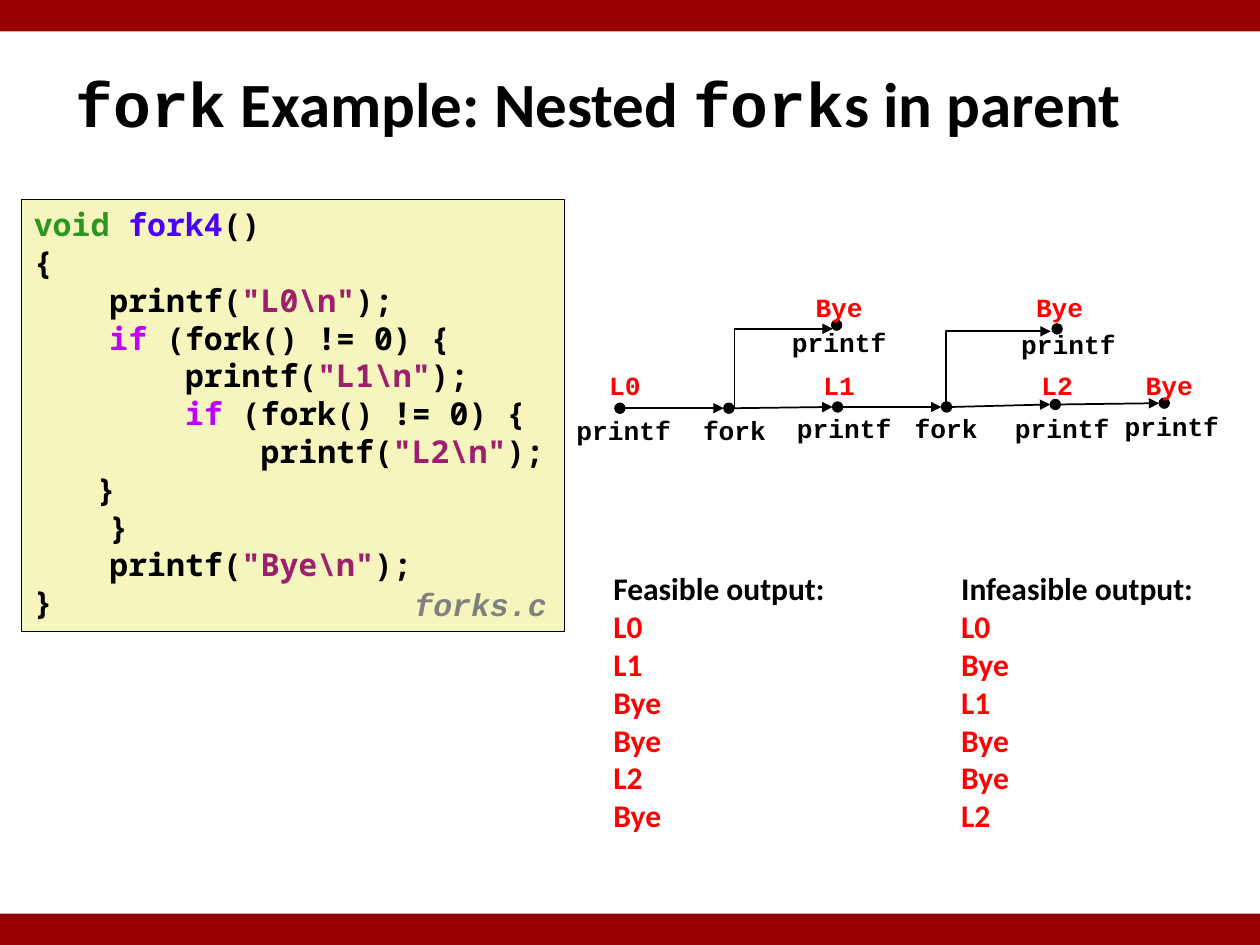
from lxml import etree
from pptx import Presentation
from pptx.dml.color import RGBColor
from pptx.enum.shapes import MSO_CONNECTOR, MSO_SHAPE
from pptx.enum.text import MSO_ANCHOR, PP_ALIGN
from pptx.oxml.ns import qn
from pptx.util import Inches, Pt

RECTANGLE, OVAL = MSO_SHAPE.RECTANGLE, MSO_SHAPE.OVAL
STRAIGHT, ELBOW = MSO_CONNECTOR.STRAIGHT, MSO_CONNECTOR.ELBOW
LEFT, CENTER = PP_ALIGN.LEFT, PP_ALIGN.CENTER
TOP, MIDDLE = MSO_ANCHOR.TOP, MSO_ANCHOR.MIDDLE

WIDTH, HEIGHT, BAR_HEIGHT = 10, 7.5, 0.25
SANS, COURIER, MONO = "Calibri", "Courier New", "Noto Sans Mono"
BLACK, RED, MAROON, CREAM, GRAY = "000000", "FF0000", "990000", "F6F5BD", "808080"
GREEN, BLUE, STRING, KEYWORD = "2D961E", "4A00FF", "9D206F", "C200FF"

TITLE = [("fork", COURIER), (" Example: Nested ", SANS), ("fork", COURIER), ("s in parent", SANS)]

CODE = [
    [("void ", GREEN), ("fork4", BLUE), ("()", BLACK)],
    [("{", BLACK)],
    [("    printf(", BLACK), ('"L0\\n"', STRING), (");", BLACK)],
    [("    ", BLACK), ("if", KEYWORD), (" (fork() != 0) {", BLACK)],
    [("        printf(", BLACK), ('"L1\\n"', STRING), (");", BLACK)],
    [("        ", BLACK), ("if", KEYWORD), (" (fork() != 0) {", BLACK)],
    [("            printf(", BLACK), ('"L2\\n"', STRING), (");", BLACK)],
    [("\t}", BLACK)],
    [("    }", BLACK)],
    [("    printf(", BLACK), ('"Bye\\n"', STRING), (");", BLACK)],
    [("}", BLACK)],
]

# Dot centre y, call, call centre x, call top, output, output centre x
PARENT_STEPS = [
    (3.24, "printf", 4.95, 3.24, "L0", 4.96),
    (3.24, "fork", 5.83, 3.24, "", 0),
    (3.23, "printf", 6.7, 3.22, "L1", 6.66),
    (3.23, "fork", 7.51, 3.22, "", 0),
    (3.21, "printf", 8.43, 3.22, "L2", 8.39),
    (3.2, "printf", 9.3, 3.21, "Bye", 9.28),
]
CHILD_STEPS = [
    (6.64, 2.58, "printf", 6.66, 2.54, "Bye", 6.66),
    (8.39, 2.61, "printf", 8.48, 2.56, "Bye", 8.41),
]
CHILD_ARROWS = [((5.83, 3.24), (6.61, 2.61)), ((7.51, 3.22), (8.34, 2.63))]
FIRST_STEP, STEP_GAP, DOT = 4.92, 0.864, 0.08
PARENT_OUTPUT_TOP, CHILD_OUTPUT_TOP = 2.88, 2.26

OUTPUTS = [
    (4.77, 1.9, "Feasible output:", ["L0", "L1", "Bye", "Bye", "L2", "Bye"]),
    (7.53, 2.07, "Infeasible output:", ["L0", "Bye", "L1", "Bye", "Bye", "L2"]),
]


def color(hex_string):
    return RGBColor.from_string(hex_string)


def add_block(slide, kind, box, fill, line=None, line_width=0.75):
    shape = slide.shapes.add_shape(kind, *map(Inches, box))
    shape.shadow.inherit = False
    shape.fill.solid()
    shape.fill.fore_color.rgb = color(fill)
    if line:
        shape.line.color.rgb = color(line)
        shape.line.width = Pt(line_width)
    else:
        shape.line.fill.background()
    return shape


def write(shape, lines, size, align=LEFT, anchor=TOP, wrap=False):
    """Fill a shape with bold lines, each a list of (text, font, colour) runs."""
    frame = shape.text_frame
    frame.word_wrap = wrap
    frame.vertical_anchor = anchor
    for index, runs in enumerate(lines):
        paragraph = frame.add_paragraph() if index else frame.paragraphs[0]
        paragraph.alignment = align
        paragraph.font.size = Pt(size)
        paragraph.font.bold = True
        for text, font, hex_string in runs:
            run = paragraph.add_run()
            run.text = text
            run.font.name = font
            run.font.color.rgb = color(hex_string)


def add_text(slide, box, lines, size, **options):
    shape = slide.shapes.add_textbox(*map(Inches, box))
    write(shape, lines, size, **options)
    return shape


def add_label(slide, center, top, text, hex_string):
    width = 0.2 + 0.125 * len(text)
    add_text(slide, (center - width / 2, top, width, 0.35),
             [[(text, COURIER, hex_string)]], 15, align=CENTER)


def add_step(slide, x, y, call, call_x, call_top, output, output_x, output_top):
    add_block(slide, OVAL, (x - DOT / 2, y - DOT / 2, DOT, DOT), BLACK, BLACK)
    add_label(slide, call_x, call_top, call, BLACK)
    if output:
        add_label(slide, output_x, output_top, output, RED)


def add_arrow(slide, kind, start, end):
    connector = slide.shapes.add_connector(kind, *map(Inches, (*start, *end)))
    connector.line.color.rgb = color(BLACK)
    connector.line.width = Pt(1)
    properties = connector._element.spPr
    line = properties.find(qn("a:ln"))
    etree.SubElement(line, qn("a:tailEnd"), type="triangle")
    etree.SubElement(properties, qn("a:effectLst"))
    return connector


def add_branch(slide, start, end):
    """Arrow that runs up from start, then right to end: a one-bend connector turned by 90°."""
    center_x, center_y = (start[0] + end[0]) / 2, (start[1] + end[1]) / 2
    half_width, half_height = (start[1] - end[1]) / 2, (end[0] - start[0]) / 2
    connector = add_arrow(slide, ELBOW, (center_x + half_width, center_y + half_height),
                          (center_x - half_width, center_y - half_height))
    properties = connector._element.spPr
    properties.find(qn("a:xfrm")).set("rot", "5400000")
    properties.find(qn("a:prstGeom")).set("prst", "bentConnector2")


def main():
    presentation = Presentation()
    presentation.slide_width, presentation.slide_height = Inches(WIDTH), Inches(HEIGHT)
    slide = presentation.slides.add_slide(presentation.slide_layouts[6])

    for top in (0, HEIGHT - BAR_HEIGHT):
        add_block(slide, RECTANGLE, (0, top, WIDTH, BAR_HEIGHT), MAROON)
    add_text(slide, (0.5, 0.5, 8.78, 0.63), [[(text, font, BLACK) for text, font in TITLE]],
             36, anchor=MIDDLE, wrap=True)

    code_box = add_block(slide, RECTANGLE, (0.17, 1.58, 4.31, 3.43), CREAM, BLACK, 0.25)
    write(code_box, [[(text, MONO, shade) for text, shade in line] for line in CODE],
          18, wrap=True)
    file_name = add_text(slide, (3.19, 4.62, 1.32, 0.39), [[("forks.c", COURIER, GRAY)]], 18)
    file_name.text_frame.paragraphs[0].font.italic = True
    file_name.text_frame.paragraphs[0].line_spacing = 0.94

    centers = [(FIRST_STEP + index * STEP_GAP, step[0]) for index, step in enumerate(PARENT_STEPS)]
    for (x, y), step in zip(centers, PARENT_STEPS):
        add_step(slide, x, y, *step[1:], PARENT_OUTPUT_TOP)
    for step in CHILD_STEPS:
        add_step(slide, *step, CHILD_OUTPUT_TOP)
    for (x, y), (next_x, next_y) in zip(centers, centers[1:]):
        add_arrow(slide, STRAIGHT, (x + DOT / 2, y), (next_x - DOT / 2, next_y))
    for start, end in CHILD_ARROWS:
        add_branch(slide, start, end)

    for left, width, heading, printed in OUTPUTS:
        lines = [[(heading, SANS, BLACK)]] + [[(text, SANS, RED)] for text in printed]
        add_text(slide, (left, 4.47, width, 2.22), lines, 18)

    presentation.save("out.pptx")


if __name__ == "__main__":
    main()
